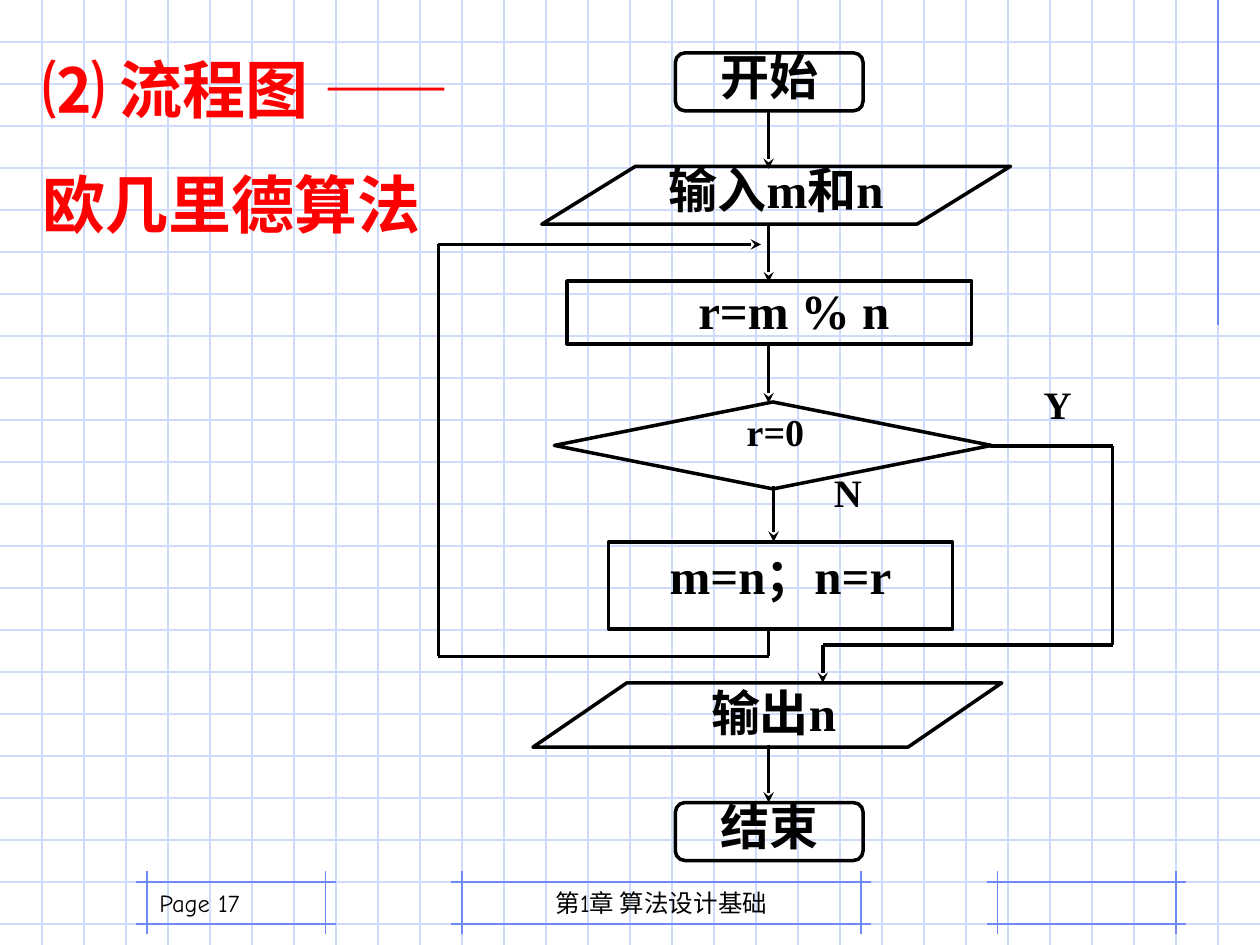
import dataclasses
import itertools

import lxml.etree
import pptx
import pptx.dml.color
import pptx.enum.shapes
import pptx.enum.text
import pptx.oxml.ns
import pptx.util

COLUMNS, ROWS = 30, 22.5
CELL = pptx.util.Inches(10) / COLUMNS
COLORS = {"grid": "CFDBFD", "frame": "6F89F7", "ink": "000000", "title": "FF0000"}
SERIF, SANS, HAND, CHINESE = "Times New Roman", "Arial", "Comic Neue", "Noto Sans CJK SC"
SHAPES = pptx.enum.shapes.MSO_SHAPE
ALIGN = pptx.enum.text.PP_ALIGN
ANCHOR = pptx.enum.text.MSO_ANCHOR


@dataclasses.dataclass
class Box:
    left: float
    top: float
    width: float
    height: float

    def inner(self, left, top, width, height):
        return Box(self.left + left, self.top + top, width, height)

    def lengths(self):
        return [round(value * CELL) for value in (self.left, self.top, self.width, self.height)]


def rgb(name):
    return pptx.dml.color.RGBColor.from_string(COLORS[name])


def add_line(slide, box, start, end, color, width=0.75, arrow=False):
    points = [(box.left + x, box.top + y) for x, y in (start, end)]
    line = slide.shapes.add_connector(
        pptx.enum.shapes.MSO_CONNECTOR.STRAIGHT,
        *[round(value * CELL) for point in points for value in point])
    line.line.color.rgb = rgb(color)
    line.line.width = pptx.util.Pt(width)
    if arrow:
        outline = line.line._get_or_add_ln()
        lxml.etree.SubElement(outline, pptx.oxml.ns.qn("a:tailEnd"), type="stealth")
    lxml.etree.SubElement(line._element.spPr, pptx.oxml.ns.qn("a:effectLst"))


def add_route(slide, box, points):
    segments = list(itertools.pairwise(points))
    for segment in segments:
        add_line(slide, box, *segment, "ink", 2, arrow=segment is segments[-1])


def add_run(paragraph, text, size, font, color, bold, asian=CHINESE):
    run = paragraph.add_run()
    run.text = text
    run.font.size = pptx.util.Pt(size)
    run.font.name = font
    run.font.bold = bold
    run.font.color.rgb = rgb(color)
    lxml.etree.SubElement(run._r.get_or_add_rPr(), pptx.oxml.ns.qn("a:ea"), typeface=asian)


def write_text(shape, paragraphs, size=28, font=SERIF, color="ink", bold=True, align=ALIGN.CENTER,
               anchor=ANCHOR.TOP, spacing=1.0, before=0, insets=(0, 0, 0, 0)):
    frame = shape.text_frame
    frame.word_wrap = True
    frame.vertical_anchor = anchor
    frame.margin_left, frame.margin_top, frame.margin_right, frame.margin_bottom = [
        pptx.util.Inches(inset) for inset in insets]
    for index, runs in enumerate(paragraphs):
        paragraph = frame.add_paragraph() if index else frame.paragraphs[0]
        paragraph.alignment = align
        paragraph.line_spacing = spacing
        paragraph.space_before = pptx.util.Pt(before)
        for text, run_font in runs:
            add_run(paragraph, text, size, run_font or font, color, bold)


def add_text(slide, box, paragraphs, **text_format):
    write_text(slide.shapes.add_textbox(*box.lengths()), paragraphs, **text_format)


def add_node(slide, box, kind, text=None, **text_format):
    shape = slide.shapes.add_shape(kind, *box.lengths())
    shape.shadow.inherit = False
    shape.fill.background()
    shape.line.color.rgb = rgb("ink")
    shape.line.width = pptx.util.Pt(2)
    if text:
        write_text(shape, [[(text, None)]], **text_format)


def draw_grid(slide, box):
    for row in range(1, int(box.height) + 1):
        add_line(slide, box, (0, row), (box.width, row), "grid")
    for column in range(1, int(box.width)):
        add_line(slide, box, (column, 0), (column, box.height), "grid")


def draw_frame(slide, box, overhang=0.25):
    for y in (0, box.height):
        add_line(slide, box, (-overhang, y), (box.width + overhang, y), "frame")
    for x in (0, box.width):
        add_line(slide, box, (x, -overhang), (x, box.height + overhang), "frame")


def draw_footer(slide, box):
    for left, width in ((7.5, 9.5), (20.25, 4.25), (0, 4.25)):
        draw_frame(slide, box.inner(left, 0.5, width, 1))
    footer_format = dict(size=14, font=HAND, bold=False, anchor=ANCHOR.BOTTOM,
                         insets=(0.1, 0.05, 0.1, 0.05))
    add_text(slide, box.inner(7.5, 0, 9.5, 1.5), [[("第1章 算法设计基础", None)]], **footer_format)
    add_text(slide, box.inner(0, 0, 6.25, 1.5), [[("Page 17", None)]], align=ALIGN.LEFT,
             **footer_format)


def draw_title(slide, box):
    add_text(slide, box, [[("⑵ 流程图 ", None), ("——", SANS)], [("欧几里德算法", None)]],
             size=36, font=CHINESE, color="title", align=ALIGN.LEFT, before=22.5,
             insets=(0.1, 0.05, 0.1, 0.05))


def draw_flowchart(slide, box):
    axis, step = 7.86, 1.38
    for top, text in ((0, "开始"), (17.85, "结束")):
        add_node(slide, box.inner(5.64, top, 4.47, step), SHAPES.FLOWCHART_ALTERNATE_PROCESS,
                 text, spacing=0.85, insets=(0.06, 0, 0.06, 0))
    add_node(slide, box.inner(2.46, 2.7, 11.16, step), SHAPES.FLOWCHART_DATA, "输入m和n",
             spacing=0.9, insets=(0.02, 0, 0.02, 0))
    add_node(slide, box.inner(3.06, 5.43, 9.63, 1.5), SHAPES.FLOWCHART_PROCESS, "r=m % n",
             insets=(0.41, 0, 0.02, 0))
    add_node(slide, box.inner(2.76, 8.31, 10.41, 2.07), SHAPES.FLOWCHART_DECISION)
    add_node(slide, box.inner(4.05, 11.64, 8.19, 2.07), SHAPES.FLOWCHART_PROCESS, "m=n；n=r",
             spacing=0.8, insets=(0.1, 0.12, 0.1, 0))
    add_node(slide, box.inner(2.25, 15, 11.16, 1.53), SHAPES.FLOWCHART_DATA, "输出n",
             insets=(0.16, 0, 0.06, 0))

    for left, top, width, text, size, spacing in (
            (7.02, 8.67, 2.01, "r=0", 21.7, 0.8),
            (9.27, 10.02, 0.96, "N", 22.2, 0.9),
            (13.95, 7.92, 1.59, "Y", 22.2, 0.9)):
        add_text(slide, box.inner(left, top, width, 1.14), [[(text, None)]],
                 size=size, spacing=spacing)

    for top in (1.38, 4.08, 6.96, 16.47):
        add_route(slide, box, [(axis, top), (axis, top + step)])
    add_route(slide, box, [(7.98, 10.32), (7.98, 11.64)])
    add_route(slide, box, [(13.14, 9.36), (box.width, 9.36), (box.width, 14.1),
                           (9.15, 14.1), (9.15, 15)])
    add_route(slide, box, [(axis, 13.68), (axis, 14.37), (0, 14.37), (0, 4.56), (7.68, 4.56)])


def main():
    presentation = pptx.Presentation()
    presentation.slide_width = round(COLUMNS * CELL)
    presentation.slide_height = round(ROWS * CELL)
    slide = presentation.slides.add_slide(presentation.slide_layouts[6])
    page = Box(0, 0, COLUMNS, ROWS)
    draw_grid(slide, page)
    add_line(slide, page, (29, 0), (29, 7.75), "frame")
    draw_footer(slide, page.inner(3.5, 20.5, 24.75, 1.5))
    draw_flowchart(slide, page.inner(10.44, 1.26, 16.05, 19.23))
    draw_title(slide, page.inner(0.72, 1.05, 15.84, 4.86))
    presentation.save("out.pptx")


if __name__ == "__main__":
    main()
